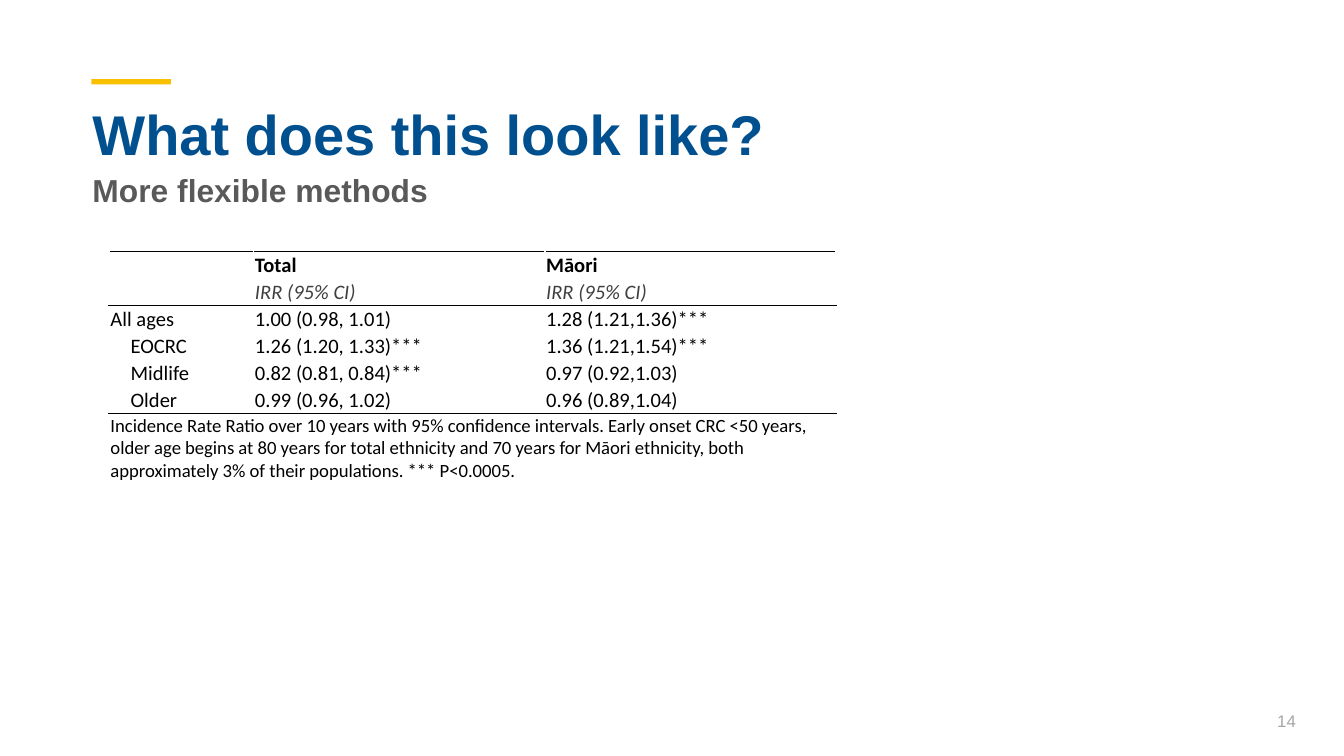
"""Build a slide with a table of incidence rate ratios."""
import pptx
import pptx.util
import pptx.dml.color
import pptx.enum.shapes
import pptx.enum.text
import pptx.oxml

Pt = pptx.util.Pt
RGBColor = pptx.dml.color.RGBColor
Align = pptx.enum.text.PP_ALIGN
Anchor = pptx.enum.text.MSO_ANCHOR

GOLD = RGBColor(0xF9, 0xC0, 0x00)
BLUE = RGBColor(0x00, 0x50, 0x8F)
GREY = RGBColor(0x59, 0x59, 0x59)
PALE = RGBColor(0xA6, 0xA6, 0xA6)
DARK = RGBColor(0x40, 0x40, 0x40)
BLACK = RGBColor(0, 0, 0)

HEADS = [
    ("What does this look like?", (42.5, 54.7, 628, 29.5), 30, BLUE, 40, Anchor.MIDDLE),
    ("More flexible methods", (42.5, 86.4, 628, 20.2), 17, GREY, 22, Anchor.TOP),
]
PAGE = "14"
ROWS = [
    ("", "Total", "Māori"),
    ("", "IRR (95% CI)", "IRR (95% CI)"),
    ("All ages", "1.00 (0.98, 1.01)", "1.28 (1.21,1.36)***"),
    ("EOCRC", "1.26 (1.20, 1.33)***", "1.36 (1.21,1.54)***"),
    ("Midlife", "0.82 (0.81, 0.84)***", "0.97 (0.92,1.03)"),
    ("Older", "0.99 (0.96, 1.02)", "0.96 (0.89,1.04)"),
]
NOTE = (
    "Incidence Rate Ratio over 10 years with 95% confidence intervals. "
    "Early onset CRC <50 years, older age begins at 80 years for total "
    "ethnicity and 70 years for Māori ethnicity, both approximately 3% of "
    "their populations. *** P<0.0005."
)
GROUPS = ("EOCRC", "Midlife", "Older")
RULES = {0: "T", 1: "B", 2: "T", 5: "B", 6: "T"}
WIDTHS = (77.4, 156, 156)
ROW_H, NOTE_H = 14.47, 37
LEFT, TOP = 58.5, 134.6


def style(par, size, color, face, bold=False, italic=False):
    font = par.font
    font.name, font.size = face, Pt(size)
    font.bold, font.italic = bold, italic
    font.color.rgb = color


def add_text(slide, text, box, size, color, anchor, bold=False):
    frame = slide.shapes.add_textbox(*map(Pt, box)).text_frame
    frame.word_wrap = True
    frame.vertical_anchor = anchor
    par = frame.paragraphs[0]
    par.text = text
    style(par, size, color, "Arial", bold)
    return par


def add_rule(cell, side):
    line = pptx.oxml.parse_xml(
        f'<a:ln{side} xmlns:a="http://schemas.openxmlformats.org/drawingml/2006/main"'
        f' w="{Pt(0.5)}"><a:solidFill><a:srgbClr val="{BLACK}"/></a:solidFill></a:ln{side}>'
    )
    cell._tc.get_or_add_tcPr().insert(0, line)


def add_grid(slide):
    rows = ROWS + [(NOTE, "", "")]
    last = len(ROWS)
    high = ROW_H * last + NOTE_H
    grid = slide.shapes.add_table(
        len(rows), len(WIDTHS), Pt(LEFT), Pt(TOP), Pt(sum(WIDTHS)), Pt(high)
    ).table
    grid.first_row = grid.horz_banding = False
    for col, width in zip(grid.columns, WIDTHS):
        col.width = Pt(width)
    for r, row in enumerate(rows):
        grid.rows[r].height = Pt(NOTE_H if r == last else ROW_H)
        for c, text in enumerate(row):
            cell = grid.cell(r, c)
            cell.fill.background()
            cell.margin_left = Pt(11.5 if text in GROUPS else 0.7)
            cell.margin_right = cell.margin_top = Pt(0.7)
            cell.margin_bottom = 0
            cell.vertical_anchor = Anchor.TOP if r == last else Anchor.BOTTOM
            par = cell.text_frame.paragraphs[0]
            par.text = text
            style(par, 10 if r == last else 11, DARK if r == 1 else BLACK,
                  "Calibri", r == 0, r == 1)
            if r in RULES:
                add_rule(cell, RULES[r])
    grid.cell(last, 0).merge(grid.cell(last, len(WIDTHS) - 1))


def main():
    deck = pptx.Presentation()
    deck.slide_width, deck.slide_height = Pt(720), Pt(405)
    slide = deck.slides.add_slide(deck.slide_layouts[6])

    bar = slide.shapes.add_shape(
        pptx.enum.shapes.MSO_SHAPE.RECTANGLE, Pt(49), Pt(42.4), Pt(42.5), Pt(2.8)
    )
    bar.shadow.inherit = False
    bar.fill.solid()
    bar.fill.fore_color.rgb = GOLD
    bar.line.fill.background()

    for text, box, size, color, gap, anchor in HEADS:
        par = add_text(slide, text, box, size, color, anchor, True)
        par.line_spacing, par.space_after = Pt(gap), Pt(2)
    add_grid(slide)
    num = add_text(slide, PAGE, (539.3, 375.1, 162, 21.6), 9, PALE, Anchor.MIDDLE)
    num.alignment = Align.RIGHT
    deck.save("out.pptx")


if __name__ == "__main__":
    main()
